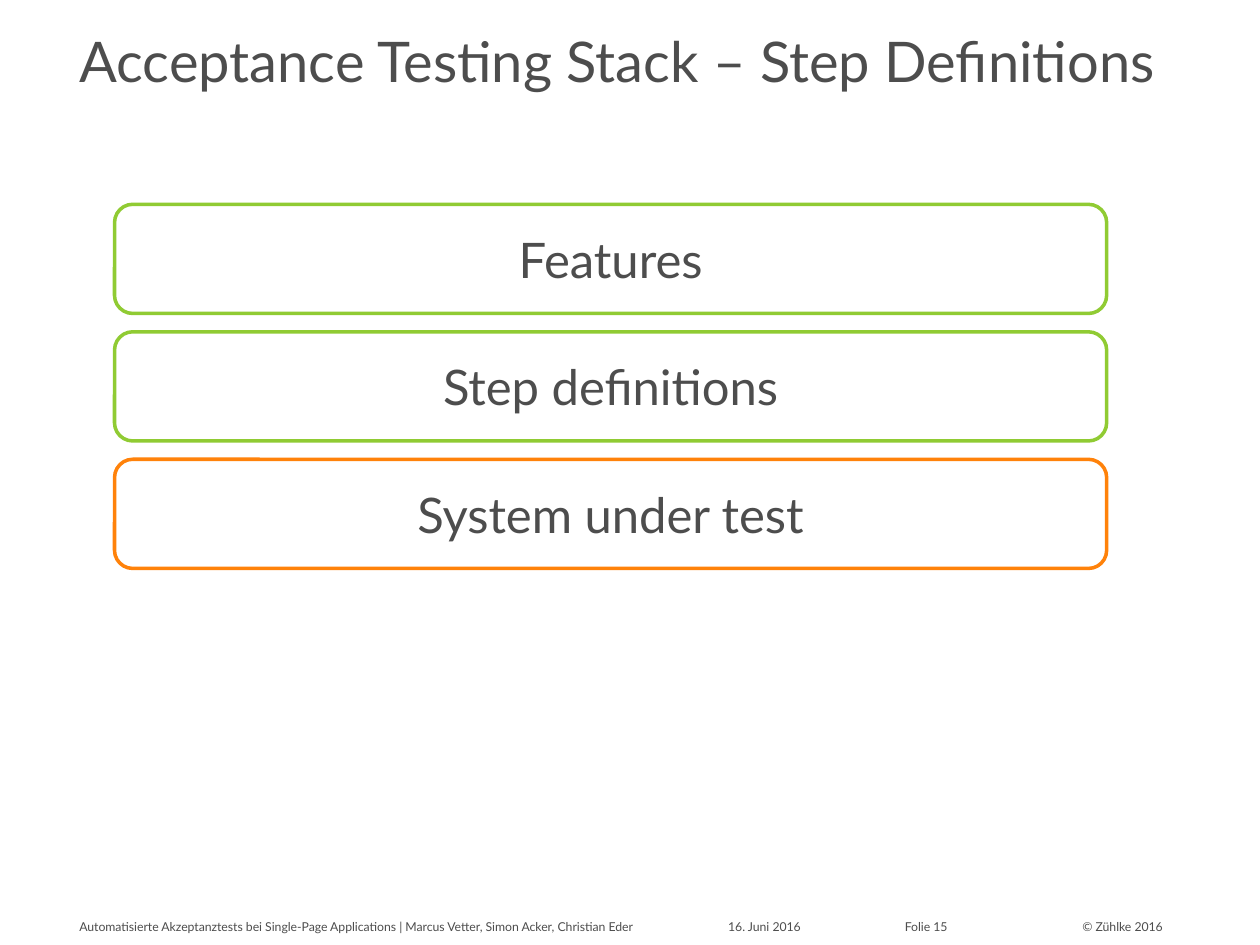
from dataclasses import dataclass

from pptx import Presentation
from pptx.dml.color import RGBColor
from pptx.enum.shapes import MSO_SHAPE
from pptx.enum.text import MSO_ANCHOR, MSO_AUTO_SIZE, PP_ALIGN
from pptx.util import Cm, Pt


@dataclass(frozen=True)
class Theme:
    font: str = "Lato"
    ink: RGBColor = RGBColor(0x4D, 0x4D, 0x4D)
    paper: RGBColor = RGBColor(0xFF, 0xFF, 0xFF)
    green: RGBColor = RGBColor(0x90, 0xCB, 0x33)
    orange: RGBColor = RGBColor(0xFF, 0x82, 0x0A)
    title_size: int = 32
    layer_size: int = 28
    footer_size: int = 7
    outline: int = 2


THEME = Theme()

LAYERS = [
    ("Features", THEME.green),
    ("Step definitions", THEME.green),
    ("System under test", THEME.orange),
]
LAYER_LEFT, LAYER_TOP = 2.31, 4.12
LAYER_WIDTH, LAYER_HEIGHT, LAYER_PITCH = 20, 2.2, 2.57

FOOTER_TOP, FOOTER_HEIGHT = 18.54, 0.3
FOOTER = [
    (1.6, 12.67, "Automatisierte Akzeptanztests bei Single-Page Applications"
                 " | Marcus Vetter, Simon Acker, Christian Eder"),
    (14.68, 3.18, "16. Juni 2016"),
    (18.24, 3.18, "Folie 15"),
    (21.82, 3.2, "© Zühlke 2016"),
]

FLUSH = {
    "margin_left": 0,
    "margin_top": 0,
    "margin_right": 0,
    "margin_bottom": 0,
    "auto_size": MSO_AUTO_SIZE.NONE,
    "vertical_anchor": MSO_ANCHOR.TOP,
    "word_wrap": True,
}
CENTRED = {"vertical_anchor": MSO_ANCHOR.MIDDLE, "word_wrap": True}


def apply(target, values):
    for attribute, value in values.items():
        setattr(target, attribute, value)


def write(holder, wording, size, frame_format, paragraph_format):
    frame = holder.text_frame
    apply(frame, frame_format)
    paragraph = frame.paragraphs[0]
    apply(paragraph, paragraph_format)
    run = paragraph.add_run()
    run.text = wording
    apply(run.font, {"name": THEME.font, "size": Pt(size)})
    run.font.color.rgb = THEME.ink


def add_title(slide, wording):
    title = slide.shapes.title
    apply(title, {"left": Cm(1.6), "top": Cm(0.61), "width": Cm(23.37), "height": Cm(1.98)})
    write(title, wording, THEME.title_size, FLUSH,
          {"alignment": PP_ALIGN.LEFT, "line_spacing": 0.98})


def add_layer(slide, position, wording, outline):
    layer = slide.shapes.add_shape(
        MSO_SHAPE.ROUNDED_RECTANGLE, Cm(LAYER_LEFT), Cm(LAYER_TOP + position * LAYER_PITCH),
        Cm(LAYER_WIDTH), Cm(LAYER_HEIGHT))
    layer.shadow.inherit = False
    layer.fill.solid()
    layer.fill.fore_color.rgb = THEME.paper
    layer.line.color.rgb = outline
    layer.line.width = Pt(THEME.outline)
    write(layer, wording, THEME.layer_size, CENTRED, {"alignment": PP_ALIGN.CENTER})


def add_footer_entry(slide, left, width, wording):
    entry = slide.shapes.add_textbox(Cm(left), Cm(FOOTER_TOP), Cm(width), Cm(FOOTER_HEIGHT))
    write(entry, wording, THEME.footer_size, FLUSH, {"alignment": PP_ALIGN.LEFT})


def main():
    deck = Presentation()
    apply(deck, {"slide_width": Cm(25.4), "slide_height": Cm(19.05)})
    slide = deck.slides.add_slide(deck.slide_layouts.get_by_name("Title Only"))
    add_title(slide, "Acceptance Testing Stack – Step Definitions")
    for position, (wording, outline) in enumerate(LAYERS):
        add_layer(slide, position, wording, outline)
    for left, width, wording in FOOTER:
        add_footer_entry(slide, left, width, wording)
    deck.save("out.pptx")


if __name__ == "__main__":
    main()
